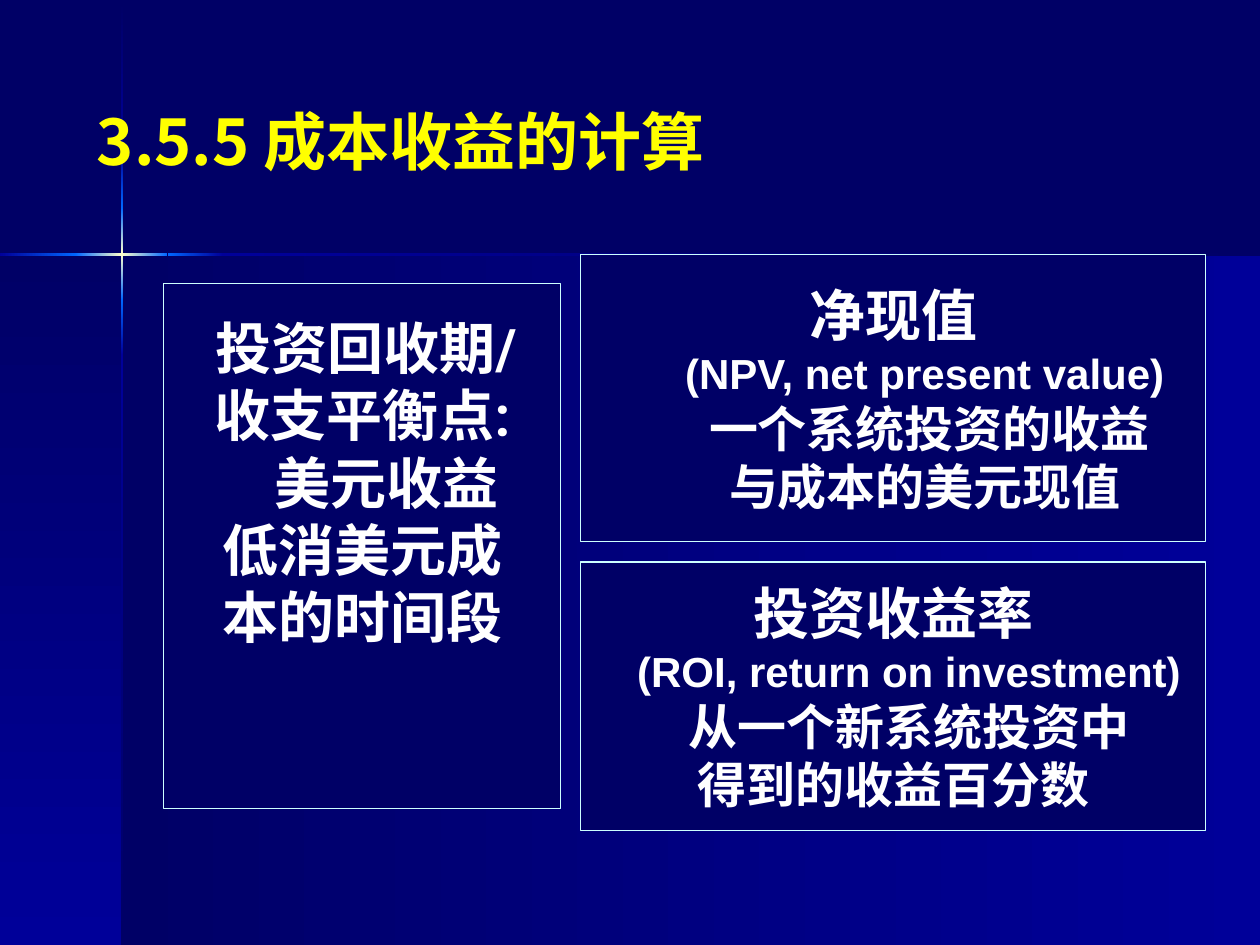
from copy import deepcopy
from pptx import Presentation, util as u
from pptx.dml.color import RGBColor
from pptx.enum import shapes, text
from pptx.oxml.ns import qn

NAVY, BLUE, GLOW, CREAM = "000066", "000099", "0066FF", "FFFFCC"
WHITE, YELLOW, PALE = "FFFFFF", "FFFF00", "CCFFFF"
HAN = "Noto Sans CJK SC"
DOWN, LEFT = 270, 180  # python-pptx counts angles anticlockwise


def rgb(code):
    return RGBColor.from_string(code)


class Deck:
    def __init__(self):
        self.prs = Presentation()
        self.prs.slide_width = u.Inches(10)
        self.prs.slide_height = u.Inches(7.5)
        self.slide = self.prs.slides.add_slide(self.prs.slide_layouts[6])
        fill = self.slide.background.fill
        fill.solid()
        fill.fore_color.rgb = rgb(NAVY)

    def rect(self, box):
        shape = self.slide.shapes.add_shape(
            shapes.MSO_SHAPE.RECTANGLE, *map(u.Inches, box))
        shape.shadow.inherit = False
        return shape

    def fade(self, box, angle, *codes):
        shape = self.rect(box)
        shape.line.fill.background()
        shape.fill.gradient()
        shape.fill.gradient_angle = angle
        stops = shape._element.spPr.find(".//" + qn("a:gsLst"))
        while len(stops) < len(codes):
            stops.append(deepcopy(stops[-1]))
        for i, (stop, code) in enumerate(zip(shape.fill.gradient_stops, codes)):
            stop.position = i / (len(codes) - 1)
            stop.color.rgb = rgb(code)

    def add_run(self, par, words, size, font, color):
        run = par.add_run()
        run.text = words
        run.font.size = u.Pt(size)
        run.font.bold = True
        run.font.name = font
        run.font.color.rgb = rgb(color)
        props = run._r.get_or_add_rPr()
        east = props.makeelement(qn("a:ea"), {"typeface": HAN})
        props.find(qn("a:latin")).addnext(east)

    def title(self, box, words):
        frame = self.slide.shapes.add_textbox(*map(u.Inches, box)).text_frame
        frame.word_wrap = True
        frame.vertical_anchor = text.MSO_ANCHOR.MIDDLE
        self.add_run(frame.paragraphs[0], words, 36, HAN, YELLOW)

    def card(self, box, lines, top=None):
        """Each line is words, size, font and left indent in inches."""
        shape = self.rect(box)
        shape.fill.solid()
        shape.fill.fore_color.rgb = rgb(NAVY)
        shape.line.color.rgb = rgb(PALE)
        shape.line.width = u.Pt(0.75)
        frame = shape.text_frame
        frame.word_wrap = True
        frame.vertical_anchor = text.MSO_ANCHOR.MIDDLE
        if top is not None:
            frame.vertical_anchor = text.MSO_ANCHOR.TOP
            frame.margin_top = u.Inches(top)
        for i, (words, size, font, indent) in enumerate(lines):
            par = frame.add_paragraph() if i else frame.paragraphs[0]
            par.alignment = text.PP_ALIGN.CENTER
            par.line_spacing = u.Pt(size * 1.2)
            par._p.get_or_add_pPr().set("marL", str(u.Inches(indent)))
            self.add_run(par, words, size, font, WHITE)


def main():
    deck = Deck()

    # Background panels
    deck.fade((0.97, 2.02, 9.03, 5.48), LEFT, BLUE, NAVY)
    deck.fade((0, 2.02, 0.97, 5.48), DOWN, NAVY, BLUE)

    # Vertical beam, then horizontal beam
    for y, end, codes in (
            (0.01, 1.21, (NAVY, BLUE)), (1.21, 1.65, (BLUE, GLOW)),
            (2.38, 2.82, (GLOW, BLUE)), (2.82, 7.5, (BLUE, NAVY)),
            (1.65, 2.38, (GLOW, CREAM, GLOW))):
        deck.fade((0.96, y, 0.02, end - y), DOWN, *codes)
    for x, end, codes in (
            (0, 0.61, (GLOW, BLUE)), (1.33, 1.77, (BLUE, GLOW)),
            (1.77, 10, (NAVY, BLUE)), (0.6, 1.33, (GLOW, CREAM, GLOW))):
        deck.fade((x, 2.01, end - x, 0.02), LEFT, *codes)

    # Title
    deck.title((0.67, 0.33, 8.75, 1.57), "3.5.5 成本收益的计算")

    # Payback period
    deck.card((1.3, 2.25, 3.15, 4.17), [
        ("投资回收期/", 32, "Roboto", 0.06),
        ("收支平衡点:", 32, "Roboto", 0),
        ("美元收益", 32, "Roboto", 0.38),
        ("低消美元成", 32, "Roboto", 0),
        ("本的时间段", 32, "Roboto", 0)], top=0.24)

    # Net present value
    deck.card((4.61, 2.02, 4.96, 2.28), [
        ("净现值", 32, "Roboto", 0),
        ("(NPV, net present value)", 24, "Arial", 0.5),
        ("一个系统投资的收益", 28, "Roboto", 0.57),
        ("与成本的美元现值", 28, "Roboto", 0.5)])

    # Return on investment
    deck.card((4.61, 4.46, 4.96, 2.13), [
        ("投资收益率", 32, "Roboto", 0),
        ("(ROI, return on investment)", 24, "Arial", 0.25),
        ("从一个新系统投资中", 28, "Roboto", 0.25),
        ("得到的收益百分数", 28, "Roboto", 0)])

    deck.prs.save("out.pptx")


if __name__ == "__main__":
    main()
